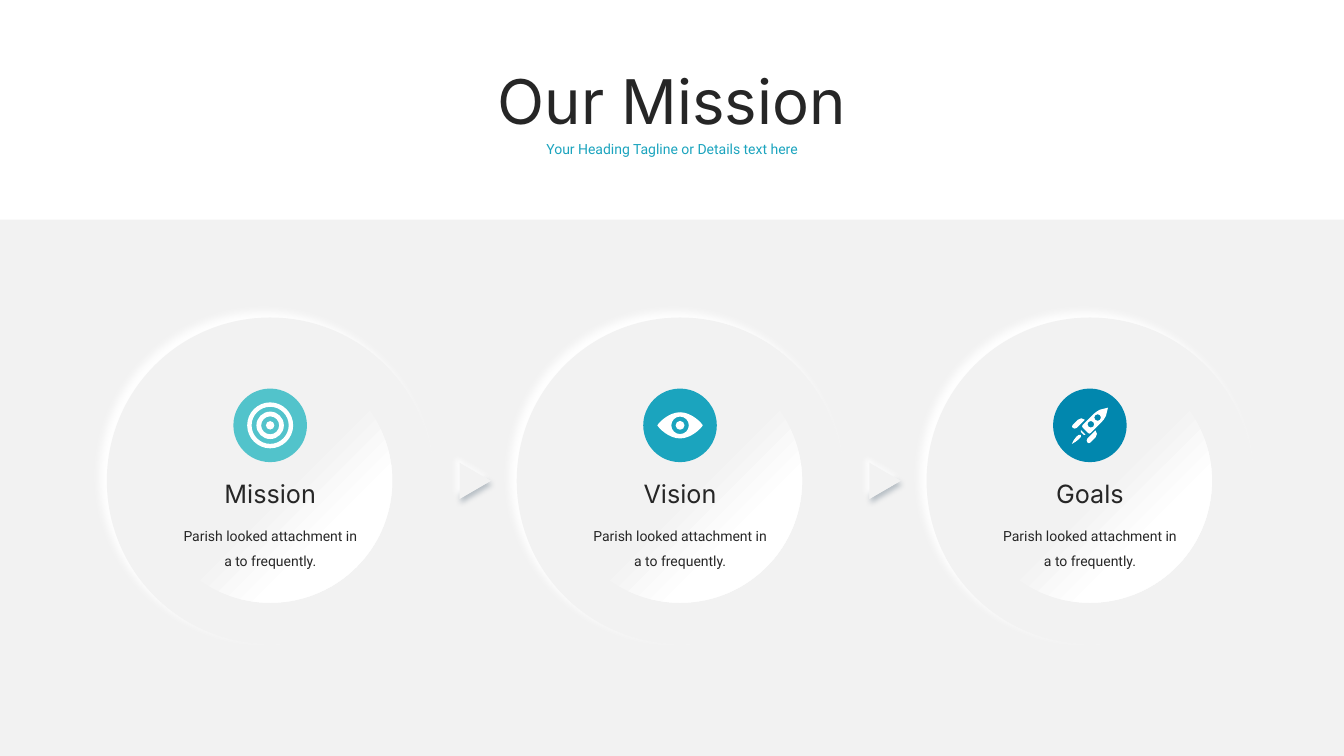
from dataclasses import dataclass
from typing import Optional

from lxml import etree
from pptx import Presentation
from pptx.dml.color import RGBColor
from pptx.enum.shapes import MSO_SHAPE
from pptx.enum.text import MSO_AUTO_SIZE, PP_ALIGN
from pptx.oxml.ns import qn
from pptx.util import Inches, Pt

OVAL = MSO_SHAPE.OVAL
RECTANGLE = MSO_SHAPE.RECTANGLE
TRIANGLE = MSO_SHAPE.ISOSCELES_TRIANGLE
CENTER = PP_ALIGN.CENTER
GROW = MSO_AUTO_SIZE.SHAPE_TO_FIT_TEXT

WIDTH, HEIGHT = 13.33, 7.5
PANEL_TOP = 2.18
FIRST_X, PITCH = 2.68, 8.13 / 2
DISC_Y, BADGE_Y = 4.77, 4.22
DISC_SIZE, BOWL_SIZE, BADGE_SIZE = 3.24, 2.42, 0.73
CAPTION_WIDTH = 1.92
ARROW_WIDTH, ARROW_HEIGHT = 0.36, 0.31
ROUNDNESS = 0.55
WHITE, GREY, INK, TEAL = "FFFFFF", "F2F2F2", "262626", "1BA4BE"

Contour = list[tuple[float, ...]]
Icon = list[list[Contour]]


@dataclass(frozen=True)
class Shadow:
    color: str
    opacity: int
    blur: int
    distance: int
    angle: int


@dataclass(frozen=True)
class Style:
    size: int
    font: str
    color: str = INK
    spacing: float = 1.0


@dataclass(frozen=True)
class Pillar:
    heading: str
    badge_color: str
    icon: Icon


DISC_GLOW = Shadow(WHITE, 100, 6, 6, 220)
ARROW_SHADOWS = [Shadow("0E2B44", 25, 4, 3, 70), Shadow(WHITE, 100, 4, 4, 230)]
TITLE = Style(44, "Inter")
TAGLINE = Style(10, "Roboto", TEAL)
HEADING = Style(18, "Inter")
DETAIL = Style(10, "Roboto", spacing=1.5)
DETAIL_TEXT = "Parish looked attachment in a to frequently."


def circle(r: float, x: float = 0, y: float = 0) -> Contour:
    k = r * ROUNDNESS
    return [(x + r, y),
            (x + r, y + k, x + k, y + r, x, y + r),
            (x - k, y + r, x - r, y + k, x - r, y),
            (x - r, y - k, x - k, y - r, x, y - r),
            (x + k, y - r, x + r, y - k, x + r, y)]


def points(segment: tuple[float, ...]) -> list[tuple[float, float]]:
    return list(zip(segment[::2], segment[1::2]))


def mirrored(contour: Contour) -> Contour:
    return [tuple(value for x, y in points(segment) for value in (-y, -x))
            for segment in contour]


def target_icon() -> Icon:
    return [[circle(radius) for radius in (22.8, 18.4, 13.6, 8.9, 4.2)]]


def eye_icon() -> Icon:
    lid = [(22.5, 0), (21, 3, 11, 13, 0, 13), (-11, 13, -21, 3, -22.5, 0),
           (-21, -3, -11, -13, 0, -13), (11, -13, 21, -3, 22.5, 0)]
    return [[lid, circle(8.7), circle(4.4)]]


def rocket_icon() -> Icon:
    body = [(10, -15.5), (8, -14.5, 5.5, -13, 3.5, -11), (-7, -0.5),
            (-8, 0.5, -8, 1.5, -7, 2.5), (-2, 7.5), (-1, 8.5, 0, 8.5, 1, 7.5),
            (11, -2.5), (13, -4.5, 15, -7, 16, -9.5), (18, -17.5)]
    fin = [(-13, 2.5), (-5, -5.5), (-7, -7.5, -10, -7.5, -12, -5.5), (-17, -0.5),
           (-18, 0.5, -18, 1.5, -17, 2.5), (-16, 3.5, -14, 3.5, -13, 2.5)]
    nozzle = [(-9, 4.5), (-10, 5.5, -10, 5.5, -9, 6.5), (-6, 9.5),
              (-5.5, 10.2, -5, 10.2, -4.2, 9.5)]
    flame = [(-18, 18.5), (-14, 16.5, -7, 11.5, -9, 9.5),
             (-11, 7.5, -16, 13.5, -18, 18.5)]
    return [[body, circle(3.3, 1, -1), circle(3.3, 7.7, -7.7)],
            [fin], [mirrored(fin)], [nozzle], [flame]]


PILLARS = [
    Pillar("Mission", "52C3CB", target_icon()),
    Pillar("Vision", TEAL, eye_icon()),
    Pillar("Goals", "0187AE", rocket_icon()),
]


def rgb(color: str) -> RGBColor:
    return RGBColor.from_string(color)


def finish(shape, color: str) -> None:
    shape.shadow.inherit = False
    shape.line.fill.background()
    shape.fill.solid()
    shape.fill.fore_color.rgb = rgb(color)


def cast(shape, shadow: Shadow) -> None:
    effects = shape._element.spPr.find(qn("a:effectLst"))
    outer = etree.SubElement(effects, qn("a:outerShdw"), {
        "blurRad": str(Pt(shadow.blur)), "dist": str(Pt(shadow.distance)),
        "dir": str(shadow.angle * 60000), "algn": "ctr", "rotWithShape": "0"})
    tint = etree.SubElement(outer, qn("a:srgbClr"), val=shadow.color)
    etree.SubElement(tint, qn("a:alpha"), val=str(shadow.opacity * 1000))


def add_centered(slide, kind, x: float, y: float, width: float, height: float,
                 color: str, shadow: Optional[Shadow] = None):
    shape = slide.shapes.add_shape(kind, Inches(x - width / 2), Inches(y - height / 2),
                                   Inches(width), Inches(height))
    finish(shape, color)
    if shadow:
        cast(shape, shadow)
    return shape


def add_text(slide, text: str, x: float, top: float, width: float, height: float,
             style: Style) -> None:
    box = slide.shapes.add_textbox(Inches(x - width / 2), Inches(top),
                                   Inches(width), Inches(height))
    box.text_frame.word_wrap = True
    box.text_frame.auto_size = GROW
    paragraph = box.text_frame.paragraphs[0]
    for name, value in {"alignment": CENTER, "line_spacing": style.spacing}.items():
        setattr(paragraph, name, value)
    run = paragraph.add_run()
    run.text = text
    for name, value in {"size": Pt(style.size), "name": style.font}.items():
        setattr(run.font, name, value)
    run.font.color.rgb = rgb(style.color)


def bend(shape, part: list[Contour]) -> None:
    steps = iter(list(shape._element.iter(qn("a:lnTo"))))
    for segment in (segment for contour in part for segment in contour[1:]):
        first = next(steps)
        if len(segment) == 6:
            curve = etree.Element(qn("a:cubicBezTo"))
            first.addprevious(curve)
            for step in (first, next(steps), next(steps)):
                curve.append(step[0])
                step.getparent().remove(step)


def add_icon(slide, icon: Icon, x: float, y: float) -> None:
    for part in icon:
        builder = None
        for contour in part:
            start, *rest = [(Inches(x + px / 100), Inches(y + py / 100))
                            for segment in contour for px, py in points(segment)]
            if builder is None:
                builder = slide.shapes.build_freeform(*start)
            else:
                builder.move_to(*start)
            builder.add_line_segments(rest)
        shape = builder.convert_to_shape()
        bend(shape, part)
        finish(shape, WHITE)


def add_disc(slide, x: float) -> None:
    add_centered(slide, OVAL, x, DISC_Y, DISC_SIZE, DISC_SIZE, GREY, DISC_GLOW)
    bowl = add_centered(slide, OVAL, x, DISC_Y, BOWL_SIZE, BOWL_SIZE, GREY)
    bowl.fill.gradient()
    bowl.fill.gradient_angle = 315
    for stop, (position, color) in zip(bowl.fill.gradient_stops, [(0.53, GREY), (0.74, WHITE)]):
        stop.position = position
        stop.color.rgb = rgb(color)


def main() -> None:
    deck = Presentation()
    deck.slide_width, deck.slide_height = Inches(WIDTH), Inches(HEIGHT)
    slide = deck.slides.add_slide(deck.slide_layouts[6])
    middle = WIDTH / 2
    add_text(slide, "Our Mission", middle, 0.58, 4.21, 0.84, TITLE)
    add_text(slide, "Your Heading Tagline or Details text here", middle, 1.34, 2.81, 0.27, TAGLINE)
    add_centered(slide, RECTANGLE, middle, (PANEL_TOP + HEIGHT) / 2,
                 WIDTH, HEIGHT - PANEL_TOP, GREY)
    columns = [FIRST_X + PITCH * i for i in range(len(PILLARS))]
    for x in columns:
        add_disc(slide, x)
    for x in columns[:-1]:
        for shadow in ARROW_SHADOWS:
            arrow = add_centered(slide, TRIANGLE, x + PITCH / 2, DISC_Y,
                                 ARROW_WIDTH, ARROW_HEIGHT, GREY, shadow)
            arrow.rotation = 90
    for x, pillar in zip(columns, PILLARS):
        add_centered(slide, OVAL, x, BADGE_Y, BADGE_SIZE, BADGE_SIZE, pillar.badge_color)
        add_icon(slide, pillar.icon, x, BADGE_Y)
        add_text(slide, pillar.heading, x, 4.7, CAPTION_WIDTH, 0.4, HEADING)
        add_text(slide, DETAIL_TEXT, x, 5.1, CAPTION_WIDTH, 0.58, DETAIL)
    deck.save("out.pptx")


if __name__ == "__main__":
    main()
